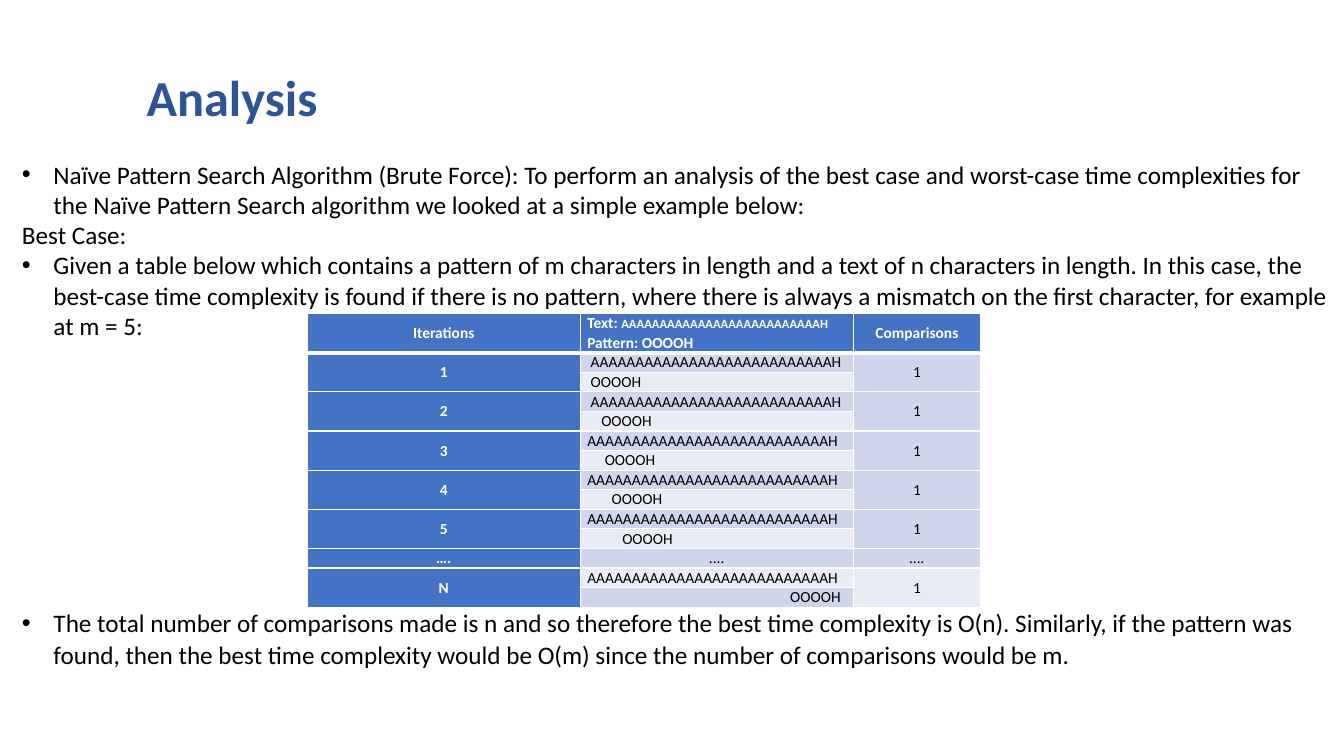
from pptx import Presentation
from pptx.dml.color import RGBColor as RGB
from pptx.enum.text import MSO_ANCHOR as ANCHOR, MSO_AUTO_SIZE as FIT, PP_ALIGN as ALIGN
from pptx.oxml.ns import qn
from pptx.util import Pt
from lxml.etree import SubElement as Sub

COLORS = {"title": "2F5496", "text": "000000", "white": "FFFFFF",
          "head": "4472C4", "dark": "CFD5EA", "light": "E9EBF5"}
TEXT = "A" * 27 + "H"
WORD = "OOOOH"
SPACE = 2.5  # width of one blank at 11 points
ROW = 14     # height of a table row

# label, shift of the text and of the pattern in blanks
STEPS = [("1", 1, 1), ("2", 1, 4), ("3", 0, 5), ("4", 0, 7), ("5", 0, 10),
         ("….", None, None), ("N", 0, 58)]

# text, has bullet, paragraph format
POINTS = [
    ("Naïve Pattern Search Algorithm (Brute Force): To perform an analysis of the best case "
     "and worst-case time complexities for the Naïve Pattern Search algorithm we looked at "
     "a simple example below:", True, {}),
    ("Best Case:", False, {}),
    ("Given a table below which contains a pattern of m characters in length and a text of n "
     "characters in length. In this case, the best-case time complexity is found if there is "
     "no pattern, where there is always a mismatch on the first character, for example "
     "at m = 5:", True, {}),
    ("The total number of comparisons made is n and so therefore the best time complexity is "
     "O(n). Similarly, if the pattern was found, then the best time complexity would be O(m) "
     "since the number of comparisons would be m.", True,
     {"line_spacing": 1.07, "space_before": Pt(189), "space_after": Pt(8)}),
]


def apply(item, values):
    for name, value in values.items():
        setattr(item, name, value)


def write(para, text, size, color, bold=False):
    run = para.add_run()
    run.text = text
    apply(run.font, {"name": "Calibri", "size": Pt(size), "bold": bold})
    run.font.color.rgb = RGB.from_string(COLORS[color])


def place(shape, box):
    apply(shape, dict(zip(("left", "top", "width", "height"), map(Pt, box))))
    apply(shape.text_frame, {"auto_size": FIT.NONE, "word_wrap": True,
                             "vertical_anchor": ANCHOR.TOP})


def add_title(slide, box):
    title = slide.shapes.title
    place(title, box)
    para = title.text_frame.paragraphs[0]
    apply(para, {"alignment": ALIGN.LEFT, "line_spacing": 1.07})
    write(para, "Analysis", 36, "title", True)


def add_points(slide, box):
    body = slide.placeholders[1]
    place(body, box)
    frame = body.text_frame
    for i, (text, dot, form) in enumerate(POINTS):
        para = frame.add_paragraph() if i else frame.paragraphs[0]
        apply(para, {"line_spacing": 1.0, "space_before": Pt(0), **form})
        props = para._p.get_or_add_pPr()
        inset = Pt(22.5) if dot else 0
        props.set("marL", str(inset))
        props.set("indent", str(-inset))
        if dot:
            Sub(props, qn("a:buChar"), char="•")
        else:
            Sub(props, qn("a:buNone"))
        write(para, text, 18, "text")


def edge(cell, base):
    """Draw white borders, with the bottom one of the given width."""
    props = cell._tc.get_or_add_tcPr()
    for side, width in zip("LRTB", (1, 1, 1, base)):
        line = Sub(props, qn(f"a:ln{side}"), w=str(Pt(width)))
        Sub(Sub(line, qn("a:solidFill")), qn("a:srgbClr"), val=COLORS["white"])


def fill(cell, lines, back, shift=None, base=1, anchor=ANCHOR.MIDDLE):
    """Fill a cell with lines of (text, size) runs, centred if shift is None."""
    edge(cell, base)
    cell.fill.solid()
    cell.fill.fore_color.rgb = RGB.from_string(COLORS[back])
    apply(cell, {"margin_left": Pt(5), "margin_right": Pt(5), "margin_top": 0,
                 "margin_bottom": 0, "vertical_anchor": anchor})
    frame = cell.text_frame
    head = back == "head"
    for i, runs in enumerate(lines):
        para = frame.add_paragraph() if i else frame.paragraphs[0]
        apply(para, {"alignment": ALIGN.CENTER if shift is None else ALIGN.LEFT,
                     "line_spacing": 1.02})
        if shift:
            para._p.get_or_add_pPr().set("marL", str(Pt(shift * SPACE)))
        for text, size in runs:
            write(para, text, size, "white" if head else "text", head)


def add_steps(slide, box):
    count = 1 + sum(1 if shift is None else 2 for _, shift, _ in STEPS)
    grid = slide.shapes.add_table(count, 3, *map(Pt, box)).table
    for col, width in zip(grid.columns, (195, 195, box[2] - 390)):
        col.width = Pt(width)
    for i, row in enumerate(grid.rows):
        row.height = Pt(ROW if i else 2 * ROW)

    fill(grid.cell(0, 0), [[("Iterations", 11)]], "head", base=3)
    fill(grid.cell(0, 1), [[("Text: ", 11), (TEXT[1:], 9)], [("Pattern: " + WORD, 11)]],
         "head", 0, 3, ANCHOR.TOP)
    fill(grid.cell(0, 2), [[("Comparisons", 11)]], "head", base=3)

    row = 1
    for label, start, shift in STEPS:
        tones = ("light", "dark") if label == "N" else ("dark", "light")
        gap = start is None
        if gap:
            parts = [("....", None)]
        else:
            parts = [(TEXT, start), (WORD, shift)]
            for col in (0, 2):
                grid.cell(row, col).merge(grid.cell(row + 1, col))
        fill(grid.cell(row, 0), [[(label, 11)]], "head")
        fill(grid.cell(row, 2), [[(label if gap else "1", 11)]], tones[0])
        for (text, pad), tone in zip(parts, tones):
            fill(grid.cell(row, 1), [[(text, 11)]], tone, pad, anchor=ANCHOR.TOP)
            row += 1


def main():
    deck = Presentation()
    apply(deck, {"slide_width": Pt(960), "slide_height": Pt(540)})
    slide = deck.slides.add_slide(deck.slide_layouts[1])
    add_title(slide, (97.5, 40.5, 487.5, 52))
    add_points(slide, (8.5, 110, 951, 432.5))
    add_steps(slide, (219.5, 224, 481, 15 * ROW))
    deck.save("out.pptx")


if __name__ == "__main__":
    main()
